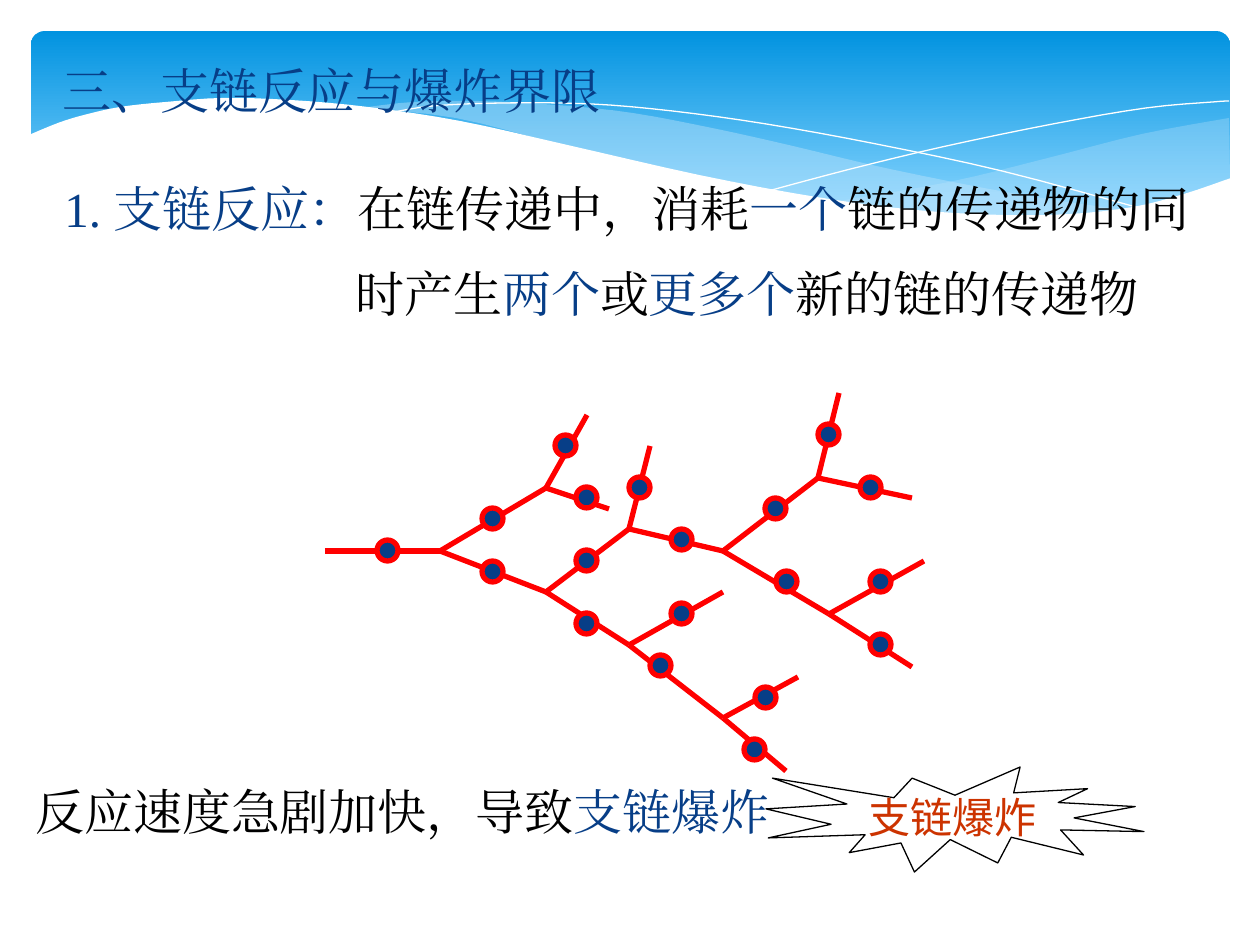
from lxml.etree import SubElement
from pptx import Presentation
from pptx.dml.color import RGBColor
from pptx.enum.shapes import MSO_CONNECTOR as Connector, MSO_SHAPE as Shape
from pptx.enum.text import MSO_ANCHOR as Anchor, PP_ALIGN as Align
from pptx.oxml.ns import qn
from pptx.util import Pt

SCALE = 914400 / 126
WHITE = RGBColor(255, 255, 255)
BLACK = RGBColor(0, 0, 0)
RED = RGBColor(255, 0, 0)
NAVY = RGBColor(0x07, 0x3E, 0x87)
RUST = RGBColor(0xCC, 0x33, 0x00)
SKY = RGBColor(0x02, 0x93, 0xE0)
PALE_SKY = RGBColor(0x83, 0xD3, 0xFE)
MIST = RGBColor(0xC6, 0xE7, 0xFC)
SERIF = "Times New Roman"
SANS = "Noto Sans CJK SC"

RIGHT_TOP = [(1229, 118), (1142, 134), (1048, 158), (949, 182), (833, 202)]
RIGHT_BOTTOM = [(833, 202), (922, 212), (1013, 217), (1087, 214),
                (1149, 205), (1196, 192), (1230, 178)]
MIDDLE_TOP = [(1125, 210), (1017, 194), (890, 169), (793, 146), (717, 129),
              (633, 113), (557, 105), (479, 101), (413, 102), (360, 108)]
MIDDLE_BOTTOM = [(360, 108), (456, 118), (566, 146), (668, 170), (757, 189),
                 (838, 203), (910, 211), (974, 216), (1030, 218),
                 (1080, 215), (1125, 210)]
FALLING_LINE = [(389, 113), (433, 106), (505, 103), (591, 104), (672, 111),
                (766, 124), (876, 144), (1002, 171), (1143, 209)]
RISING_LINE = [(772, 190), (847, 170), (942, 147), (1053, 124),
               (1146, 108), (1213, 102), (1229, 101)]
WHITE_TOP = [(1231, 178), (1184, 194), (1133, 207), (1071, 214), (1002, 215),
             (915, 210), (816, 197), (699, 175), (563, 144), (460, 121),
             (368, 107), (290, 100), (223, 98), (166, 102), (120, 107),
             (84, 115), (58, 123), (29, 135)]

FORKS = {"root": (440, 551), "upper": (546, 488), "lower": (546, 592),
         "mid": (629, 529), "low": (629, 645), "right": (723, 551),
         "bottom": (723, 718), "top": (818, 478), "far": (829, 614)}
BRANCHES = [
    ((325, 551), "root", (388, 551)),
    ("root", "upper", (493, 519)), ("root", "lower", (493, 572)),
    ("upper", (587, 415), (566, 446)), ("upper", (609, 509), (587, 498)),
    ("lower", "mid", (587, 561)), ("lower", "low", (587, 624)),
    ("mid", (650, 446), (640, 488)), ("mid", "right", (682, 540)),
    ("low", (723, 592), (682, 614)), ("low", "bottom", (661, 666)),
    ("right", "top", (776, 509)), ("right", "far", (787, 582)),
    ("bottom", (798, 677), (766, 698)), ("bottom", (786, 771), (755, 750)),
    ("top", (839, 393), (829, 435)), ("top", (912, 498), (871, 488)),
    ("far", (924, 561), (881, 582)), ("far", (912, 667), (881, 645)),
]


def px(*values):
    return [round(v * SCALE) for v in values]


def smooth(points, steps=4):
    ends = [points[0], *points, points[-1]]
    curve = []
    for a, b, c, d in zip(ends, ends[1:], ends[2:], ends[3:]):
        for t in (i / steps for i in range(steps)):
            curve.append(tuple(
                (2 * q + (r - p) * t + (2 * p - 5 * q + 4 * r - u) * t ** 2
                 + (3 * q - p - 3 * r + u) * t ** 3) / 2
                for p, q, r, u in zip(a, b, c, d)))
    return curve + [points[-1]]


def add_outline(s, points, close):
    builder = s.shapes.build_freeform(*px(*points[0]), scale=1.0)
    builder.add_line_segments([px(*pt) for pt in points[1:]], close=close)
    sp = builder.convert_to_shape()
    sp.shadow.inherit = False
    return sp


def add_wave(s, points, color, alpha=100):
    sp = add_outline(s, points, True)
    sp.fill.solid()
    sp.fill.fore_color.rgb = color
    sp.line.fill.background()
    if alpha < 100:
        clr = sp.fill._xPr.find(qn("a:solidFill"))[0]
        SubElement(clr, qn("a:alpha"), val=str(alpha * 1000))


def add_hairline(s, points):
    sp = add_outline(s, points, False)
    sp.fill.background()
    sp.line.color.rgb = WHITE
    sp.line.width = 0


def add_preset(s, kind, box, fill=None, line=None, width=0):
    sp = s.shapes.add_shape(kind, *px(*box))
    sp.shadow.inherit = False
    if fill is not None:
        sp.fill.solid()
        sp.fill.fore_color.rgb = fill
    if line is None:
        sp.line.fill.background()
    else:
        sp.line.color.rgb = line
        sp.line.width = Pt(width)
    return sp


def add_banner(s):
    sp = add_preset(s, Shape.ROUNDED_RECTANGLE, (31, 31, 1199, 197))
    sp.adjustments[0] = 0.07
    sp.fill.gradient()
    sp.fill.gradient_angle = 270
    for stop, color, at in zip(sp.fill.gradient_stops, (SKY, PALE_SKY), (0, 0.9)):
        stop.color.rgb = color
        stop.position = at
    add_wave(s, smooth(RIGHT_TOP) + smooth(RIGHT_BOTTOM), MIST, 29)
    add_wave(s, smooth(MIDDLE_TOP) + smooth(MIDDLE_BOTTOM), MIST, 40)
    add_hairline(s, smooth(FALLING_LINE))
    add_hairline(s, smooth(RISING_LINE))
    add_wave(s, smooth(WHITE_TOP) + [(29, 282), (1231, 282)], WHITE)


def add_runs(p, runs, size, font):
    for text, color in runs:
        r = p.add_run()
        r.text = text
        r.font.size = Pt(size)
        r.font.name = font
        r.font.color.rgb = color
        SubElement(r.font._element, qn("a:ea"), typeface=font)


def add_text(s, box, lines):
    tf = s.shapes.add_textbox(*px(*box)).text_frame
    tf.word_wrap = True
    tf.margin_top = px(10)[0]
    for i, (indent, runs) in enumerate(lines):
        p = tf.paragraphs[0]
        if i:
            p = tf.add_paragraph()
            p.space_before = Pt(15)
        if indent:
            p._p.get_or_add_pPr().set("marL", str(px(indent)[0]))
        add_runs(p, runs, 28, SERIF)


def add_branch(s, start, end):
    (x1, y1), (x2, y2) = (FORKS.get(pt, pt) for pt in (start, end))
    line = s.shapes.add_connector(Connector.STRAIGHT, *px(x1, y1, x2, y2))
    line.line.color.rgb = RED
    line.line.width = Pt(3)
    SubElement(line._element.spPr, qn("a:effectLst"))


def add_chain_tree(s):
    for start, end, _ in BRANCHES:
        add_branch(s, start, end)
    for _, _, (x, y) in BRANCHES:
        add_preset(s, Shape.OVAL, (x - 11, y - 11, 21, 21), NAVY, RED, 3)


def add_burst(s):
    sp = add_preset(s, Shape.EXPLOSION1, (766, 767, 378, 105), WHITE, BLACK, 0.75)
    tf = sp.text_frame
    tf.word_wrap = False
    tf.vertical_anchor = Anchor.MIDDLE
    p = tf.paragraphs[0]
    p.alignment = Align.CENTER
    add_runs(p, [("支链爆炸", RUST)], 24, SANS)


def main():
    prs = Presentation()
    prs.slide_width, prs.slide_height = px(1260, 945)
    s = prs.slides.add_slide(prs.slide_layouts[6])
    add_banner(s)
    add_text(s, (50, 50, 679, 72), [(0, [("三、支链反应与爆炸界限", NAVY)])])
    add_chain_tree(s)
    add_text(s, (52, 168, 1164, 160), [
        (0, [("1. 支链反应：", NAVY), ("在链传递中，消耗", BLACK),
             ("一个", NAVY), ("链的传递物的同", BLACK)]),
        (291, [("时产生", BLACK), ("两个", NAVY), ("或", BLACK),
               ("更多个", NAVY), ("新的链的传递物", BLACK)])])
    add_text(s, (23, 771, 858, 72), [
        (0, [("反应速度急剧加快，导致", BLACK), ("支链爆炸", NAVY)])])
    add_burst(s)
    prs.save("out.pptx")


if __name__ == "__main__":
    main()
